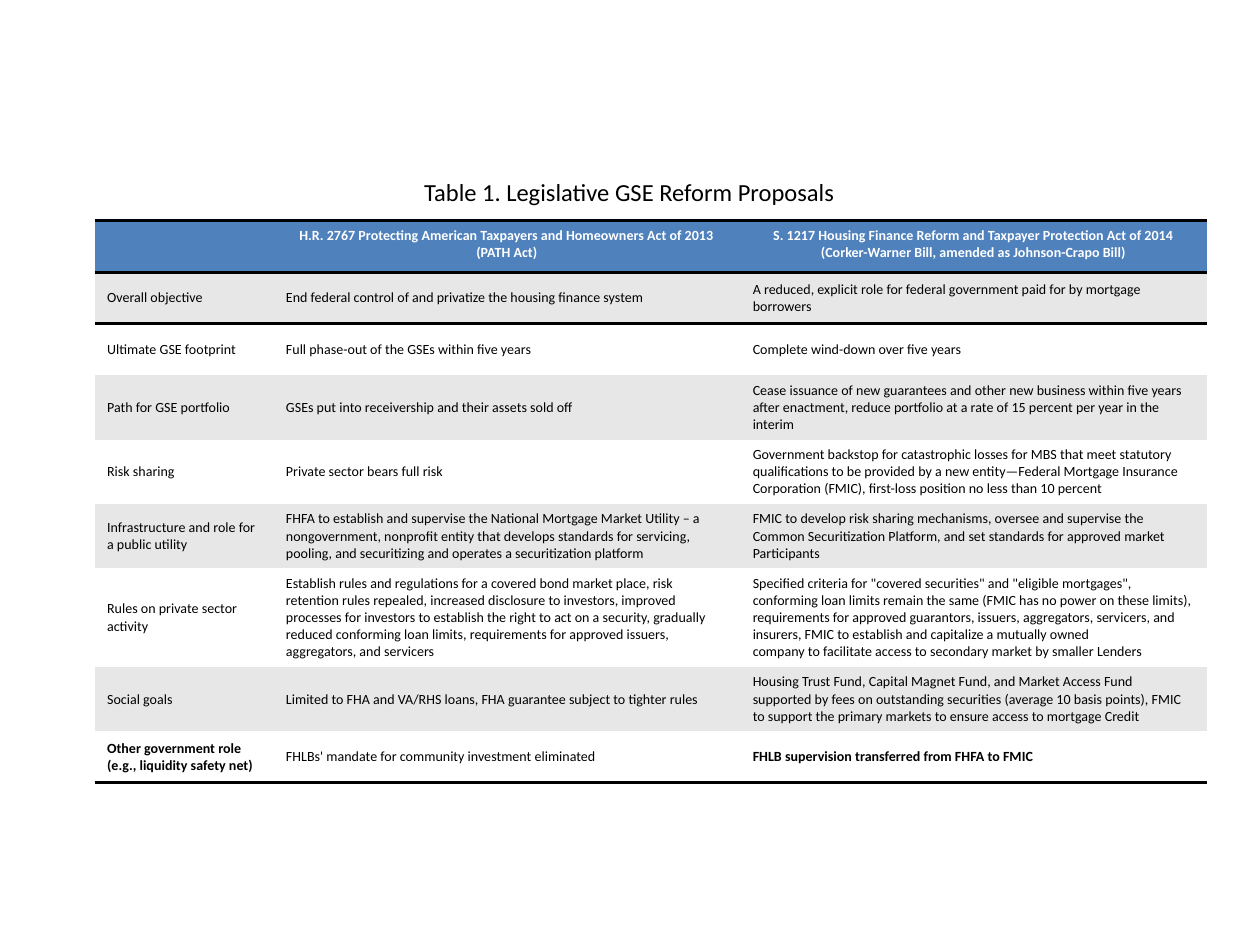
from lxml import etree
from pptx import Presentation
from pptx.dml.color import RGBColor
from pptx.enum import text
from pptx.oxml.ns import qn
from pptx.util import Inches, Pt

FONT = "Calibri"
PLAIN = "{2D5ABB26-0587-4C30-8999-92F81FD0307C}"
BLACK, WHITE, BLUE, GRAY = "000000", "FFFFFF", "4F81BD", "E7E7E7"
WIDTHS = (1.42, 3.705, 3.705)
HEIGHT = 0.41

ROWS = [
    ("",
     "H.R. 2767 Protecting American Taxpayers and Homeowners Act of 2013\n(PATH Act)",
     "S. 1217 Housing Finance Reform and Taxpayer Protection Act of 2014\n"
     "(Corker-Warner Bill, amended as Johnson-Crapo Bill)"),
    ("Overall objective",
     "End federal control of and privatize the housing finance system",
     "A reduced, explicit role for federal government paid for by mortgage borrowers"),
    ("Ultimate GSE footprint",
     "Full phase-out of the GSEs within five years",
     "Complete wind-down over five years"),
    ("Path for GSE portfolio",
     "GSEs put into receivership and their assets sold off",
     "Cease issuance of new guarantees and other new business within five years "
     "after enactment, reduce portfolio at a rate of 15 percent per year in the interim"),
    ("Risk sharing",
     "Private sector bears full risk",
     "Government backstop for catastrophic losses for MBS that meet statutory "
     "qualifications to be provided by a new entity—Federal Mortgage Insurance "
     "Corporation (FMIC), first-loss position no less than 10 percent"),
    ("Infrastructure and role for a public utility",
     "FHFA to establish and supervise the National Mortgage Market Utility – a "
     "nongovernment, nonprofit entity that develops standards for servicing, "
     "pooling, and securitizing and operates a securitization platform",
     "FMIC to develop risk sharing mechanisms, oversee and supervise the Common "
     "Securitization Platform, and set standards for approved market Participants"),
    ("Rules on private sector activity",
     "Establish rules and regulations for a covered bond market place, risk "
     "retention rules repealed, increased disclosure to investors, improved "
     "processes for investors to establish the right to act on a security, gradually "
     "reduced conforming loan limits, requirements for approved issuers, "
     "aggregators, and servicers",
     'Specified criteria for "covered securities" and "eligible mortgages", '
     "conforming loan limits remain the same (FMIC has no power on these limits), "
     "requirements for approved guarantors, issuers, aggregators, servicers, and "
     "insurers, FMIC to establish and capitalize a mutually owned\n"
     "company to facilitate access to secondary market by smaller Lenders"),
    ("Social goals",
     "Limited to FHA and VA/RHS loans, FHA guarantee subject to tighter rules",
     "Housing Trust Fund, Capital Magnet Fund, and Market Access Fund supported by "
     "fees on outstanding securities (average 10 basis points), FMIC to support the "
     "primary markets to ensure access to mortgage Credit"),
    ("Other government role (e.g., liquidity safety net)",
     "FHLBs' mandate for community investment eliminated",
     "FHLB supervision transferred from FHFA to FMIC"),
]


def tint(fmt, color):
    """Set a solid colour on a fill."""
    fmt.solid()
    fmt.fore_color.rgb = RGBColor.from_string(color)


def write(frame, words, size, color, bold=False, center=False):
    """Write the lines of a text frame in one style."""
    frame.text = words
    for par in frame.paragraphs:
        if center:
            par.alignment = text.PP_ALIGN.CENTER
        par.font.name = FONT
        par.font.size = Pt(size)
        par.font.bold = bold
        tint(par.font.fill, color)


def rule(cell, sides):
    """Draw black borders on the named sides of a cell."""
    props = cell._tc.get_or_add_tcPr()
    for spot, side in enumerate(sides):
        line = etree.Element(qn("a:ln" + side), w=str(Pt(2)))
        fill = etree.SubElement(line, qn("a:solidFill"))
        etree.SubElement(fill, qn("a:srgbClr"), val=BLACK)
        props.insert(spot, line)


def title(slide):
    """Add the table caption."""
    box = slide.shapes.add_textbox(Inches(2.58), Inches(1.36), Inches(4.83), Inches(0.34))
    box.text_frame.word_wrap = True
    write(box.text_frame, "Table 1. Legislative GSE Reform Proposals", 14, BLACK, center=True)


def grid(slide):
    """Add the table of proposals."""
    table = slide.shapes.add_table(
        len(ROWS), len(WIDTHS), Inches(0.75), Inches(1.75),
        Inches(sum(WIDTHS)), Inches(HEIGHT * len(ROWS))).table
    table._tbl.tblPr.find(qn("a:tableStyleId")).text = PLAIN
    for col, width in zip(table.columns, WIDTHS):
        col.width = Inches(width)
    last = len(ROWS) - 1
    for r, row in enumerate(ROWS):
        table.rows[r].height = Inches(HEIGHT)
        head = r == 0
        for c, words in enumerate(row):
            cell = table.cell(r, c)
            tint(cell.fill, BLUE if head else GRAY if r % 2 else WHITE)
            bold = head or (r == last and c != 1)
            write(cell.text_frame, words, 8, WHITE if head else BLACK, bold, head)
            if head:
                rule(cell, "TB")
            else:
                cell.vertical_anchor = text.MSO_ANCHOR.MIDDLE
            if r == 1:
                rule(cell, "T")
            if r == last:
                rule(cell, "B")


def main():
    """Build and save the slide."""
    deck = Presentation()
    deck.slide_width, deck.slide_height = Inches(10), Inches(7.5)
    slide = deck.slides.add_slide(deck.slide_layouts[6])
    grid(slide)
    title(slide)
    deck.save("out.pptx")


if __name__ == "__main__":
    main()
